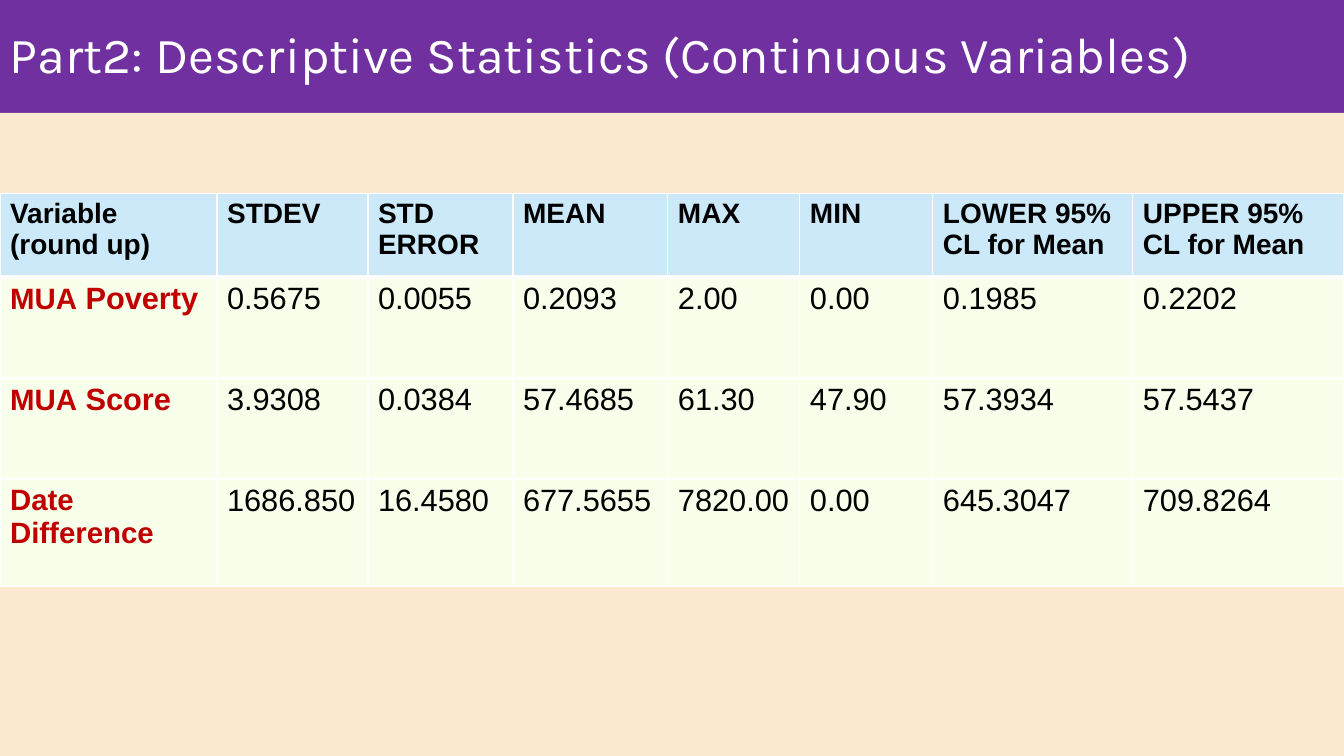
from lxml import etree
from pptx import Presentation
from pptx.dml.color import RGBColor
from pptx.enum.shapes import MSO_SHAPE
from pptx.enum.text import MSO_ANCHOR, PP_ALIGN
from pptx.oxml.ns import qn
from pptx.util import Emu, Pt

RECTANGLE = MSO_SHAPE.RECTANGLE
MIDDLE = MSO_ANCHOR.MIDDLE
LEFT = PP_ALIGN.LEFT

PURPLE = RGBColor(0x70, 0x30, 0xA0)
CREAM = RGBColor(0xFC, 0xEA, 0xD0)
SKY = RGBColor(0xCB, 0xE9, 0xF9)
MINT = RGBColor(0xF8, 0xFF, 0xEA)
RED = RGBColor(0xC0, 0x00, 0x00)
BLACK = RGBColor(0x00, 0x00, 0x00)
WHITE = RGBColor(0xFF, 0xFF, 0xFF)

EMU_PER_PX = 914400 / 100.8
PAGE_WIDTH, PAGE_HEIGHT = 1344, 756
COLUMN_WIDTHS = [217, 151, 145, 155, 132, 133, 200, 211]
ROW_HEIGHTS = [84, 101, 101, 107]

# Each header is a list of lines
HEADERS = [["Variable", "(round up)"], ["STDEV"], ["STD ERROR"], ["MEAN"], ["MAX"], ["MIN"],
           ["LOWER 95%", "CL for Mean"], ["UPPER 95%", "CL for Mean"]]
# Each variable has its name as (text, size) spans, then its values
VARIABLES = [
    ([("MUA", 21), (" Poverty", 22)],
     ["0.5675", "0.0055", "0.2093", "2.00", "0.00", "0.1985", "0.2202"]),
    ([("MUA", 21), (" Score", 22)],
     ["3.9308", "0.0384", "57.4685", "61.30", "47.90", "57.3934", "57.5437"]),
    ([("Date Difference", 21)],
     ["1686.850", "16.4580", "677.5655", "7820.00", "0.00", "645.3047", "709.8264"]),
]


def px(length):
    return Emu(round(length * EMU_PER_PX))


class SlideBuilder:
    def __init__(self, page, body_font, title_font):
        self.page = page
        self.body_font = body_font
        self.title_font = title_font

    def background(self, color):
        fill = self.page.background.fill
        fill.solid()
        fill.fore_color.rgb = color

    def span(self, para, text, size, color, font, bold=False):
        span = para.add_run()
        span.text = text
        span.font.name = font
        span.font.size = Pt(size)
        span.font.bold = bold
        span.font.color.rgb = color

    def band(self, top, height, color):
        box = self.page.shapes.add_shape(RECTANGLE, 0, px(top), px(PAGE_WIDTH), px(height))
        box.shadow.inherit = False
        box.fill.solid()
        box.fill.fore_color.rgb = color
        box.line.fill.background()
        return box

    def title(self, text, height):
        frame = self.band(0, height, PURPLE).text_frame
        frame.word_wrap = True
        frame.vertical_anchor = MIDDLE
        para = frame.paragraphs[0]
        para.alignment = LEFT
        para.line_spacing = 0.9
        self.span(para, text, 36, WHITE, self.title_font)

    def table(self, top, widths, heights):
        frame = self.page.shapes.add_table(len(heights), len(widths), 0, px(top),
                                           px(sum(widths)), px(sum(heights)))
        grid = frame.table
        for column, width in zip(grid.columns, widths):
            column.width = px(width)
        for row, height in zip(grid.rows, heights):
            row.height = px(height)
        return grid

    def cell(self, cell, lines, fill, color, bold, top_border=1, bottom_border=1):
        """Write lines of (text, size) spans into a bordered, filled cell."""
        borders = {"a:lnL": 1, "a:lnR": 1, "a:lnT": top_border, "a:lnB": bottom_border}
        properties = cell._tc.get_or_add_tcPr()
        for side, width in borders.items():
            line = etree.SubElement(properties, qn(side), w=str(Pt(width)))
            solid = etree.SubElement(line, qn("a:solidFill"))
            etree.SubElement(solid, qn("a:srgbClr"), val=str(WHITE))
        cell.fill.solid()
        cell.fill.fore_color.rgb = fill
        frame = cell.text_frame
        for index, spans in enumerate(lines):
            para = frame.add_paragraph() if index else frame.paragraphs[0]
            for text, size in spans:
                self.span(para, text, size, color, self.body_font, bold)


def main():
    deck = Presentation()
    deck.slide_width, deck.slide_height = px(PAGE_WIDTH), px(PAGE_HEIGHT)
    page = deck.slides.add_slide(deck.slide_layouts[6])
    builder = SlideBuilder(page, body_font="Arial", title_font="Karla")
    builder.background(CREAM)

    # Title band
    builder.title("Part2: Descriptive Statistics (Continuous Variables)", 115)

    # Statistics table
    grid = builder.table(193, COLUMN_WIDTHS, ROW_HEIGHTS)
    for column, header in enumerate(HEADERS):
        lines = [[(text, 20)] for text in header]
        builder.cell(grid.cell(0, column), lines, SKY, BLACK, True, bottom_border=3)
    for row, (name, values) in enumerate(VARIABLES, start=1):
        top_border = 3 if row == 1 else 1
        builder.cell(grid.cell(row, 0), [name], MINT, RED, True, top_border)
        for column, value in enumerate(values, start=1):
            builder.cell(grid.cell(row, column), [[(value, 22)]], MINT, BLACK, False, top_border)

    # Strip between title and table
    builder.band(113, 80, CREAM)

    deck.save("out.pptx")


if __name__ == "__main__":
    main()
